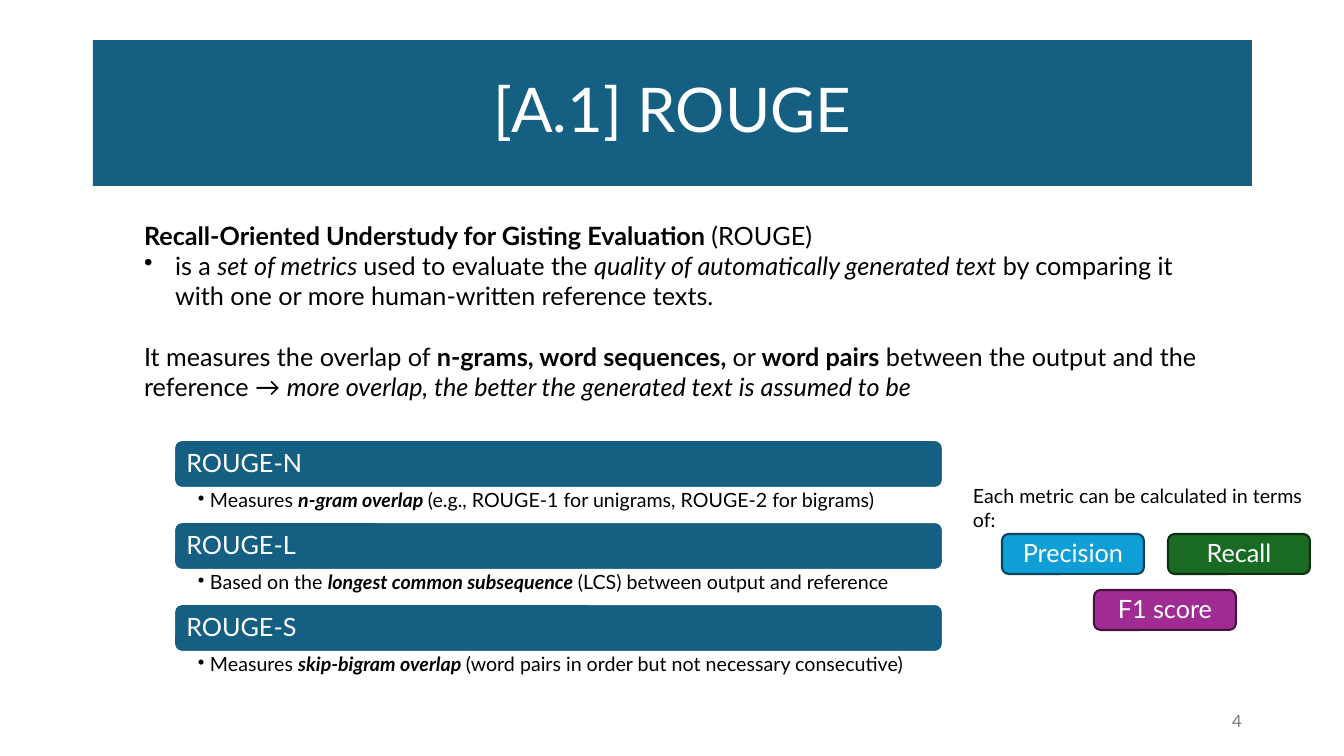
import pptx
import pptx.dml.color
import pptx.enum.shapes
import pptx.enum.text
import pptx.oxml.ns
import pptx.util
from lxml import etree

EMU_PER_INCH = 914400
PX_PER_INCH = 100.8
FONT = "Lato"
COLOURS = {
    "white": "FFFFFF", "black": "000000", "grey": "797979", "teal": "156082",
    "blue": "0F9ED5", "blue_edge": "07455D",
    "green": "196B24", "green_edge": "0B2F10",
    "purple": "A02B93", "purple_edge": "461340",
}
SHAPES = pptx.enum.shapes.MSO_SHAPE
ALIGN = pptx.enum.text.PP_ALIGN
ANCHOR = pptx.enum.text.MSO_ANCHOR

# Runs are (text, style), where style holds "b" for bold and "i" for italic.
DEFINITION = [
    ("Recall-Oriented Understudy for Gisting Evaluation ", "b"), ("(ROUGE)", "")]
PURPOSE = [
    ("is a ", ""), ("set of metrics ", "i"), ("used to evaluate the ", ""),
    ("quality of automatically generated text ", "i"),
    ("by comparing it with one or more human-written reference texts.", "")]
OVERLAP = [
    ("It measures the overlap of ", ""), ("n-grams, word sequences, ", "b"),
    ("or", ""), (" word pairs", "b"),
    (" between the output and the reference → ", ""),
    ("more overlap, the better the generated text is assumed to be", "i")]
VARIANTS = [
    ("ROUGE-N", [("Measures ", ""), ("n-gram overlap ", "bi"),
                 ("(e.g., ROUGE-1 for unigrams, ROUGE-2 for bigrams)", "")]),
    ("ROUGE-L", [("Based on the ", ""), ("longest common subsequence ", "bi"),
                 ("(LCS) between output and reference", "")]),
    ("ROUGE-S", [("Measures ", ""), ("skip-bigram overlap ", "bi"),
                 ("(word pairs in order but not necessary consecutive)", "")]),
]
SCORES = [
    ("Precision", 1002, 534, "blue"),
    ("Recall", 1168, 534, "green"),
    ("F1 score", 1094, 590, "purple"),
]


def px(length):
    return pptx.util.Emu(round(length * EMU_PER_INCH / PX_PER_INCH))


def rgb(name):
    return pptx.dml.color.RGBColor.from_string(COLOURS[name])


def write(para, runs, size, colour="black", align=ALIGN.LEFT):
    para.alignment = align
    para.font.name = FONT
    para.font.size = pptx.util.Pt(size)
    para.font.color.rgb = rgb(colour)
    for text, style in runs:
        span = para.add_run()
        span.text = text
        if "b" in style:
            span.font.bold = True
        if "i" in style:
            span.font.italic = True


def add_bullet(para, indent):
    """Give the paragraph a bullet that hangs by indent px."""
    properties = para._p.get_or_add_pPr()
    properties.set("marL", str(px(indent)))
    properties.set("indent", str(-px(indent)))
    bullet = etree.SubElement(properties, pptx.oxml.ns.qn("a:buChar"))
    bullet.set("char", "•")


def set_frame(box, anchor, insets=(10, 5, 10, 5)):
    """Wrap the text and set its anchor and left, top, right, bottom insets."""
    frame = box.text_frame
    frame.word_wrap = True
    frame.vertical_anchor = anchor
    (frame.margin_left, frame.margin_top,
     frame.margin_right, frame.margin_bottom) = map(px, insets)
    return frame


def add_text_box(page, area, anchor=ANCHOR.TOP, insets=(10, 5, 10, 5)):
    box = page.shapes.add_textbox(*map(px, area))
    return set_frame(box, anchor, insets)


def add_panel(page, kind, area, text, size, fill, edge=None, align=ALIGN.CENTER):
    """Draw a filled shape with one line of white text."""
    box = page.shapes.add_shape(kind, *map(px, area))
    box.shadow.inherit = False
    box.fill.solid()
    box.fill.fore_color.rgb = rgb(fill)
    if edge:
        box.line.color.rgb = rgb(edge)
        box.line.width = pptx.util.Pt(1.5)
    else:
        box.line.fill.background()
    para = set_frame(box, ANCHOR.MIDDLE).paragraphs[0]
    para.line_spacing = 0.9
    write(para, [(text, "")], size, "white", align)


def add_introduction(page):
    frame = add_text_box(page, (134, 215, 1081, 194))
    write(frame.paragraphs[0], DEFINITION, 18)
    purpose = frame.add_paragraph()
    write(purpose, PURPOSE, 18)
    add_bullet(purpose, 31)
    overlap = frame.add_paragraph()
    overlap.space_before = pptx.util.Pt(21.6)
    write(overlap, OVERLAP, 18)


def add_variant(page, top, name, detail):
    left, width, bar_height, detail_height = 174, 769, 48, 33
    add_panel(page, SHAPES.ROUNDED_RECTANGLE, (left, top, width, bar_height),
              name, 18, "teal", "white", ALIGN.LEFT)
    frame = add_text_box(page, (left, top + bar_height, width, detail_height),
                         insets=(24, 3, 14, 3))
    para = frame.paragraphs[0]
    para.line_spacing = 0.9
    write(para, detail, 14)
    add_bullet(para, 12)


def main():
    deck = pptx.Presentation()
    deck.slide_width, deck.slide_height = px(1344), px(756)
    page = deck.slides.add_slide(deck.slide_layouts[6])

    add_panel(page, SHAPES.RECTANGLE, (93, 40, 1159, 146),
              "[A.1] ROUGE", 44, "teal")
    add_introduction(page)
    for row, (name, detail) in enumerate(VARIANTS):
        add_variant(page, 440 + 82 * row, name, detail)

    caption = add_text_box(page, (963, 479, 377, 34))
    caption.word_wrap = False
    write(caption.paragraphs[0],
          [("Each metric can be calculated in terms of:", "")], 14)
    for name, left, top, colour in SCORES:
        add_panel(page, SHAPES.ROUNDED_RECTANGLE, (left, top, 142, 40),
                  name, 18, colour, colour + "_edge")

    number = add_text_box(page, (950, 701, 302, 40), ANCHOR.MIDDLE)
    write(number.paragraphs[0], [("4", "")], 12, "grey", ALIGN.RIGHT)
    deck.save("out.pptx")


if __name__ == "__main__":
    main()
